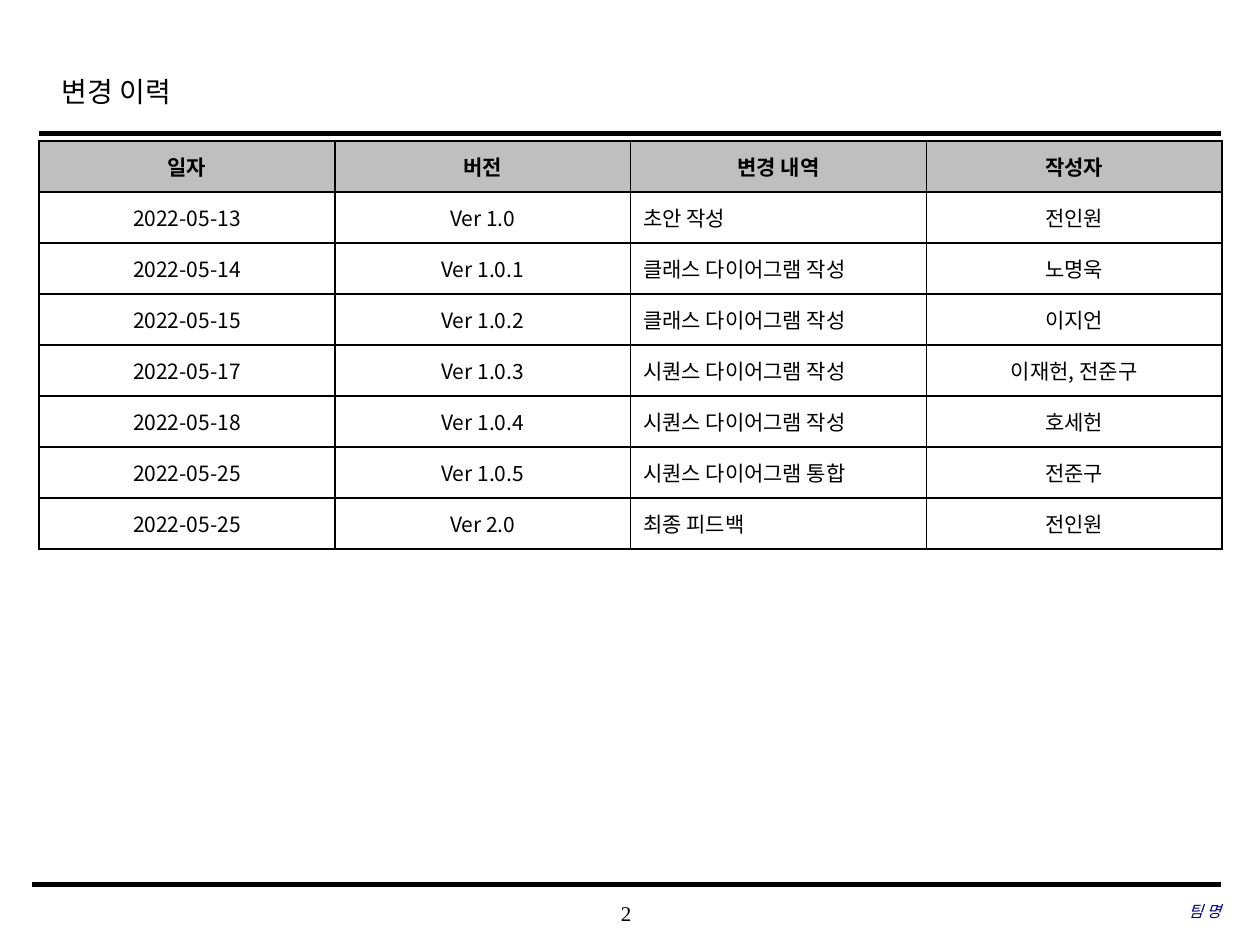
from lxml import etree
from pptx import Presentation
from pptx import util as u
from pptx.dml.color import RGBColor
from pptx.enum import shapes, text
from pptx.oxml.ns import qn

SANS, SERIF = "Noto Sans CJK KR", "Times New Roman"
BLACK, WHITE, GRAY, NAVY = "000000", "FFFFFF", "BFBFBF", "000066"
LEFT, CENTER, RIGHT = text.PP_ALIGN.LEFT, text.PP_ALIGN.CENTER, text.PP_ALIGN.RIGHT
MIDDLE = text.MSO_ANCHOR.MIDDLE

HISTORY = [
    ("일자", "버전", "변경 내역", "작성자"),
    ("2022-05-13", "Ver 1.0", "초안 작성", "전인원"),
    ("2022-05-14", "Ver 1.0.1", "클래스 다이어그램 작성", "노명욱"),
    ("2022-05-15", "Ver 1.0.2", "클래스 다이어그램 작성", "이지언"),
    ("2022-05-17", "Ver 1.0.3", "시퀀스 다이어그램 작성", "이재헌, 전준구"),
    ("2022-05-18", "Ver 1.0.4", "시퀀스 다이어그램 작성", "호세헌"),
    ("2022-05-25", "Ver 1.0.5", "시퀀스 다이어그램 통합", "전준구"),
    ("2022-05-25", "Ver 2.0", "최종 피드백", "전인원"),
]
DETAIL_COLUMN = 2


def rgb(value):
    return RGBColor.from_string(value)


class SlideBuilder:
    def __init__(self, slide):
        self.s = slide

    def set_text(self, tf, content, size, font, color=BLACK, align=LEFT, bold=False, italic=False):
        tf.text = content
        p = tf.paragraphs[0]
        p.alignment = align
        r = p.runs[0]
        f = r.font
        f.size, f.name, f.bold, f.italic = u.Pt(size), font, bold, italic
        f.color.rgb = rgb(color)
        # Korean glyphs take the East Asian font
        etree.SubElement(r._r.get_or_add_rPr(), qn("a:ea"), typeface=SANS)
        return p

    def title(self, content, box):
        sp = self.s.shapes.title
        sp.left, sp.top, sp.width, sp.height = map(u.Inches, box)
        tf = sp.text_frame
        tf.word_wrap = True
        tf.auto_size = text.MSO_AUTO_SIZE.NONE
        tf.vertical_anchor = text.MSO_ANCHOR.TOP
        self.set_text(tf, content, 16, SERIF).line_spacing = 1.2

    def label(self, content, box, size, **style):
        tf = self.s.shapes.add_textbox(*map(u.Inches, box)).text_frame
        tf.word_wrap = True
        tf.vertical_anchor = MIDDLE
        tf.margin_left = tf.margin_top = tf.margin_right = tf.margin_bottom = 0
        self.set_text(tf, content, size, SERIF, **style)

    def rule(self, left, right, y, width):
        line = self.s.shapes.add_connector(
            shapes.MSO_CONNECTOR.STRAIGHT, *map(u.Inches, (left, y, right, y)))
        line.line.color.rgb = rgb(BLACK)
        line.line.width = u.Pt(width)
        etree.SubElement(line._element.spPr, qn("a:effectLst"))

    def border(self, cell, width=1):
        tcPr = cell._tc.get_or_add_tcPr()
        for i, side in enumerate(("lnL", "lnR", "lnT", "lnB")):
            ln = etree.Element(qn(f"a:{side}"), w=str(int(u.Pt(width))))
            fill = etree.SubElement(ln, qn("a:solidFill"))
            etree.SubElement(fill, qn("a:srgbClr"), val=BLACK)
            tcPr.insert(i, ln)  # borders precede the fill

    def table(self, rows, box):
        frame = self.s.shapes.add_table(len(rows), len(rows[0]), *map(u.Inches, box))
        for i, row in enumerate(rows):
            header = i == 0
            for j, content in enumerate(row):
                cell = frame.table.cell(i, j)
                cell.vertical_anchor = MIDDLE
                cell.fill.solid()
                cell.fill.fore_color.rgb = rgb(GRAY if header else WHITE)
                align = LEFT if j == DETAIL_COLUMN and not header else CENTER
                self.set_text(cell.text_frame, content, 12, SANS, align=align, bold=header)
                self.border(cell)


def main():
    prs = Presentation()
    prs.slide_width, prs.slide_height = u.Inches(10), u.Inches(7.5)
    page = SlideBuilder(prs.slides.add_slide(prs.slide_layouts[5]))
    page.label("2", (3.93, 7.08, 2.08, 0.33), 12, align=CENTER)
    page.rule(0.31, 9.69, 1.06, 2.5)
    page.rule(0.25, 9.69, 7.02, 3)
    page.title("변경 이력", (0.39, 0.49, 7.55, 0.5))
    page.label("팀 명", (6.63, 7.07, 3.06, 0.33), 9, color=NAVY, align=RIGHT, italic=True)
    page.table(HISTORY, (0.31, 1.12, 9.39, 3.24))
    prs.save("out.pptx")


if __name__ == "__main__":
    main()
